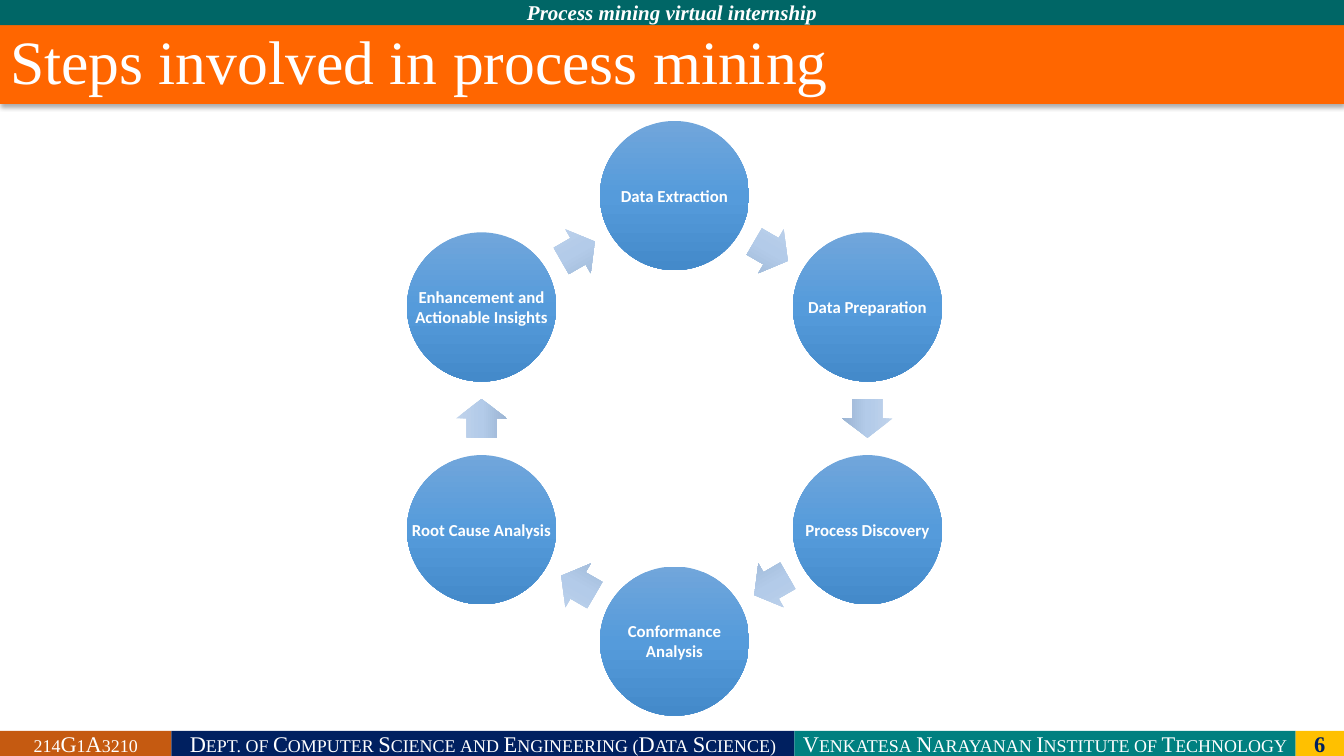
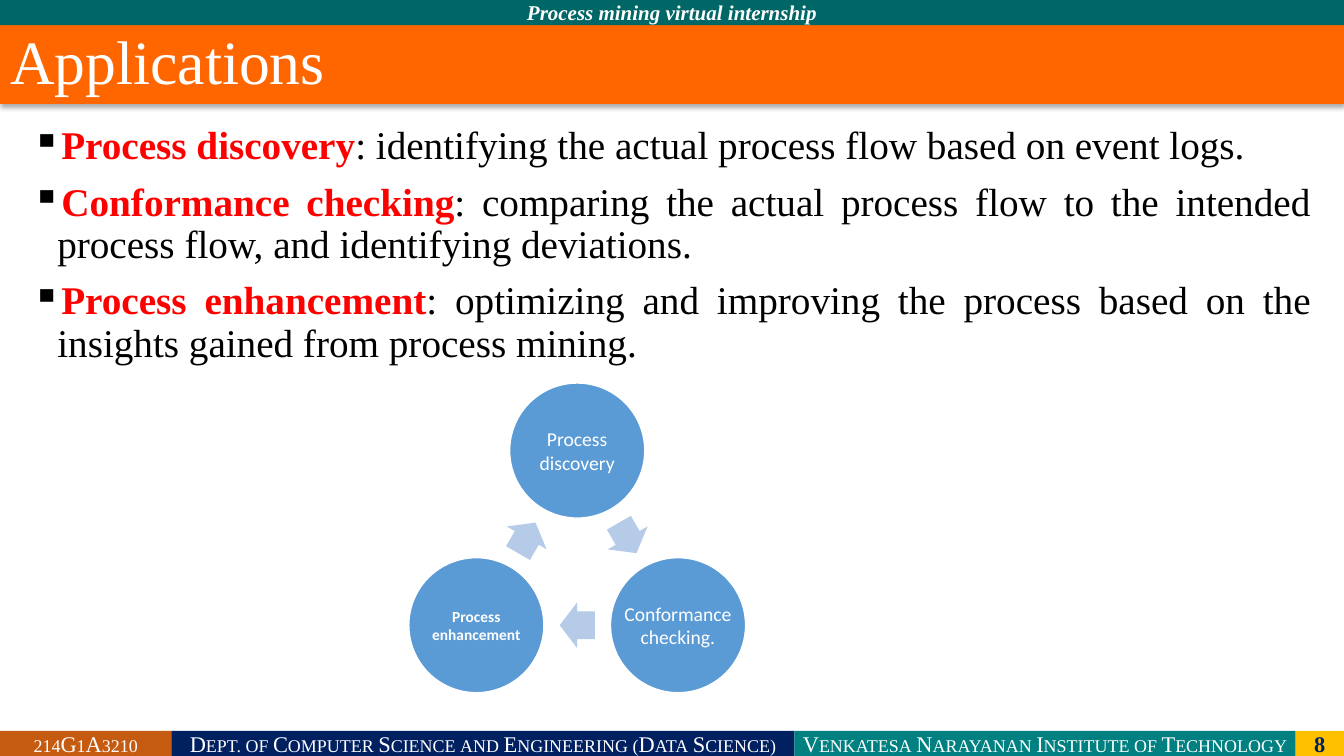
from copy import deepcopy
from math import cos, radians, sin

from pptx import Presentation
from pptx.dml.color import RGBColor
from pptx.enum.shapes import MSO_SHAPE
from pptx.enum.text import MSO_ANCHOR, MSO_AUTO_SIZE, PP_ALIGN
from pptx.oxml import parse_xml
from pptx.oxml.ns import nsdecls, qn
from pptx.util import Inches, Pt

SERIF = "Times New Roman"
SANS = "Calibri"
WHITE = "FFFFFF"
BLACK = "000000"
NAVY = "002060"
RED = "FF0000"
TITLE_ORANGE = "FF6600"
SLIDE_WIDTH = 13.33
TITLE_BOX = (0, 0.25, SLIDE_WIDTH, 0.78)
BODY_BOX = (0.22, 1.2, 12.88, 5.9)
HEADER_BOX = (0, 0, SLIDE_WIDTH, 0.25)
FOOTER_BOX = (0, 7.25, SLIDE_WIDTH, 0.25)
FOOTER_CELLS = [
    ("214G1A3210", 1.7, "C55A11"),
    ("Dept. of Computer Science and Engineering (Data Science)", 6.18, NAVY),
    ("Venkatesa Narayanan Institute of Technology", 4.97, "008080"),
]
NUMBER_FILL = "FFC000"

STEPS = [
    ("Data Extraction", 12, True),
    ("Data Preparation", 12, True),
    ("Process Discovery", 12, True),
    ("Conformance\nAnalysis", 12, True),
    ("Root Cause Analysis", 12, True),
    ("Enhancement and\nActionable Insights", 12, True),
]
APPLICATION_CYCLE = [
    ("Process\ndiscovery", 14, False),
    ("Conformance\nchecking.", 14, False),
    ("Process\nenhancement", 11, True),
]
APPLICATIONS = [
    ("Process discovery", ": identifying the actual process flow based on event logs."),
    ("Conformance checking", ": comparing the actual process flow to the intended "
     "process flow, and identifying deviations."),
    ("Process enhancement", ": optimizing and improving the process based on the "
     "insights gained from process mining."),
]


def color(value):
    return RGBColor.from_string(value)


def lengths(box):
    return [Inches(value) for value in box]


def add_run(paragraph, text, size, fill, font=SERIF, bold=False, italic=False, small_caps=False):
    run = paragraph.add_run()
    run.text = text
    run.font.name = font
    run.font.size = Pt(size)
    run.font.bold = bold
    run.font.italic = italic
    run.font.color.rgb = color(fill)
    if small_caps:
        run.font._element.set("cap", "small")


def paint(shape, fill):
    if isinstance(fill, str):
        shape.fill.solid()
        shape.fill.fore_color.rgb = color(fill)
        return
    shape.fill.gradient()
    shape.fill.gradient_angle = 270
    stops = shape.element.spPr.find(qn("a:gradFill")).find(qn("a:gsLst"))
    stops.insert(1, deepcopy(stops[0]))
    for stop, position, value in zip(shape.fill.gradient_stops, (0, 0.5, 1), fill):
        stop.position = position
        stop.color.rgb = color(value)


def add_filled_shape(shapes, kind, box, fill, outline=None):
    shape = shapes.add_shape(kind, *lengths(box))
    shape.shadow.inherit = False
    paint(shape, fill)
    if outline:
        shape.line.color.rgb = color(outline)
        shape.line.width = Pt(1)
    else:
        shape.line.fill.background()
    return shape


def center_text(shape):
    frame = shape.text_frame
    frame.word_wrap = False
    frame.vertical_anchor = MSO_ANCHOR.MIDDLE
    frame.margin_left = frame.margin_right = Inches(0.02)
    frame.margin_top = frame.margin_bottom = 0
    paragraph = frame.paragraphs[0]
    paragraph.alignment = PP_ALIGN.CENTER
    return paragraph


def add_band(slide, box, fill, text, size, text_color=WHITE, **style):
    band = add_filled_shape(slide.shapes, MSO_SHAPE.RECTANGLE, box, fill)
    add_run(center_text(band), text, size, text_color, **style)


def add_footer(slide, box, number):
    left, top, width, height = box
    right = left + width
    for text, cell_width, fill in FOOTER_CELLS:
        add_band(slide, (left, top, cell_width, height), fill, text, 16, small_caps=True)
        left += cell_width
    add_band(slide, (left, top, right - left, height), NUMBER_FILL, str(number), 16, NAVY, bold=True)


def format_title(title, box, text):
    title.left, title.top, title.width, title.height = lengths(box)
    paint(title, TITLE_ORANGE)
    title.element.spPr.append(parse_xml(
        f'<a:effectLst {nsdecls("a")}><a:outerShdw blurRad="44450" dist="27940" '
        'dir="5400000" algn="ctr" rotWithShape="0"><a:srgbClr val="000000">'
        '<a:alpha val="32000"/></a:srgbClr></a:outerShdw></a:effectLst>'))
    frame = title.text_frame
    frame.auto_size = MSO_AUTO_SIZE.NONE
    frame.vertical_anchor = MSO_ANCHOR.MIDDLE
    paragraph = frame.paragraphs[0]
    paragraph.alignment = PP_ALIGN.LEFT
    paragraph.line_spacing = 0.9
    add_run(paragraph, text, 44, WHITE)


def add_titled_slide(presentation, title, number):
    slide = presentation.slides.add_slide(presentation.slide_layouts.get_by_name("Title Only"))
    format_title(slide.shapes.title, TITLE_BOX, title)
    add_band(slide, HEADER_BOX, "006666", "Process mining virtual internship", 15,
             bold=True, italic=True)
    add_footer(slide, FOOTER_BOX, number)
    return slide


def add_bullet(paragraph):
    properties = paragraph._p.get_or_add_pPr()
    properties.set("marL", str(Inches(0.25)))
    properties.set("indent", str(-Inches(0.25)))
    properties.append(parse_xml(
        f'<a:buClr {nsdecls("a")}><a:srgbClr val="{BLACK}"/></a:buClr>'))
    properties.append(parse_xml(f'<a:buChar {nsdecls("a")} char="▪"/>'))


def add_definitions(slide, box, definitions):
    frame = slide.shapes.add_textbox(*lengths(box)).text_frame
    frame.word_wrap = True
    for index, (term, meaning) in enumerate(definitions):
        paragraph = frame.add_paragraph() if index else frame.paragraphs[0]
        paragraph.alignment = PP_ALIGN.JUSTIFY
        paragraph.line_spacing = 0.9
        paragraph.space_before = Pt(10)
        add_bullet(paragraph)
        add_run(paragraph, term, 28, RED, bold=True)
        add_run(paragraph, meaning, 28, BLACK)


def add_cycle(slide, box, diameter, stages, circle_fill, arrow_fill, outline=None):
    left, top, width, height = box
    radius = (height - diameter) / 2
    step = 360 / len(stages)
    arrow_length, arrow_height = 0.26 * diameter, 0.34 * diameter
    arrow_radius = radius * cos(radians(step / 2))
    shapes = slide.shapes.add_group_shape().shapes

    def box_at(angle, distance, item_width, item_height):
        x = left + width / 2 + distance * sin(radians(angle))
        y = top + height / 2 - distance * cos(radians(angle))
        return x - item_width / 2, y - item_height / 2, item_width, item_height

    for index, (label, size, bold) in enumerate(stages):
        angle = index * step
        circle = add_filled_shape(shapes, MSO_SHAPE.OVAL,
                                  box_at(angle, radius, diameter, diameter), circle_fill, outline)
        paragraph = center_text(circle)
        for line_index, line in enumerate(label.split("\n")):
            if line_index:
                paragraph.add_line_break()
            add_run(paragraph, line, size, WHITE, SANS, bold)
        middle = angle + step / 2
        arrow = add_filled_shape(shapes, MSO_SHAPE.RIGHT_ARROW,
                                 box_at(middle, arrow_radius, arrow_length, arrow_height), arrow_fill)
        arrow.adjustments[0] = 0.6
        arrow.adjustments[1] = 0.5
        arrow.rotation = middle


def build_steps_slide(presentation):
    slide = add_titled_slide(presentation, "Steps involved in process mining", 6)
    add_cycle(slide, (3.74, 1.2, 5.9, 5.9), 1.48, STEPS,
              ("71A6DB", "559BDB", "448ACA"), ("C0D3EB", "B3CBE9", "9BB4D3"))


def build_applications_slide(presentation):
    slide = add_titled_slide(presentation, "Applications", 8)
    add_definitions(slide, BODY_BOX, APPLICATIONS)
    add_cycle(slide, (3.9, 3.8, 3.65, 3.65), 1.34, APPLICATION_CYCLE,
              "5B9BD5", "B5CBE7", WHITE)


def main():
    presentation = Presentation()
    presentation.slide_width = Inches(SLIDE_WIDTH)
    presentation.slide_height = Inches(7.5)
    build_steps_slide(presentation)
    build_applications_slide(presentation)
    presentation.save("out.pptx")


if __name__ == "__main__":
    main()
